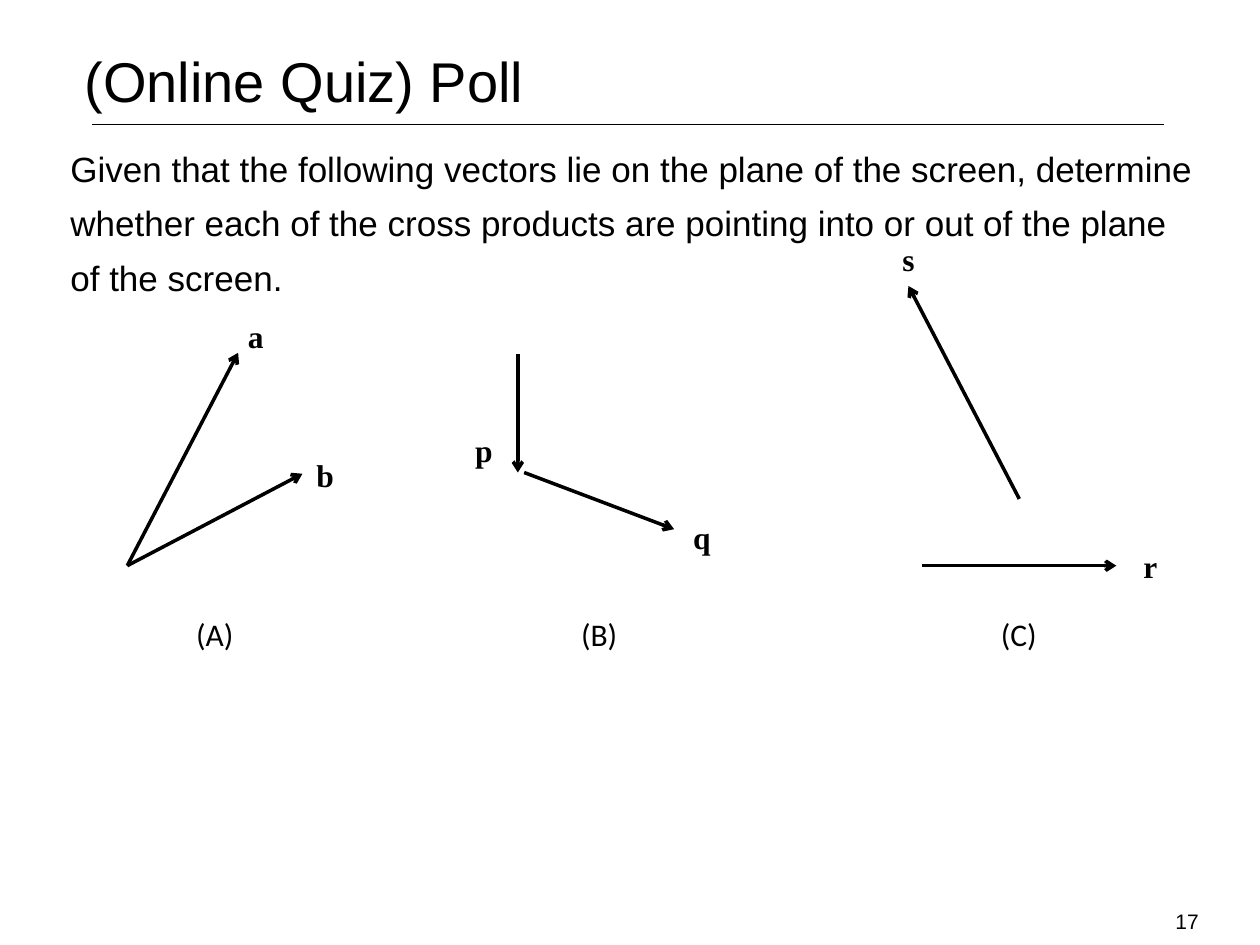
from lxml import etree
from pptx import Presentation
from pptx.dml.color import RGBColor
from pptx.enum.shapes import MSO_CONNECTOR
from pptx.enum.text import MSO_ANCHOR, PP_ALIGN
from pptx.oxml.ns import qn
from pptx.util import Inches, Pt

BLACK = RGBColor(0, 0, 0)

VECTORS = [  # start, end
    ((1.01, 4.49), (1.89, 2.8)),
    ((1.01, 4.49), (2.4, 3.76)),
    ((4.11, 2.81), (4.11, 3.75)),
    ((4.16, 3.75), (5.35, 4.2)),
    ((8.09, 3.96), (7.21, 2.27)),
    ((7.32, 4.49), (8.86, 4.49)),
]
VECTOR_NAMES = [  # name, left, top
    ("a", 1.7, 2.47),
    ("b", 2.25, 3.57),
    ("p", 3.51, 3.37),
    ("q", 5.24, 4.06),
    ("r", 8.8, 4.29),
    ("s", 6.88, 1.86),
]
CAPTIONS = [("(A)", 0.76), ("(B)", 3.81), ("(C)", 7.14)]
QUESTION = (
    "Given that the following vectors lie on the plane of the screen, determine "
    "whether each of the cross products are pointing into or out of the plane "
    "of the screen."
)


def write_text(shape, text, size, font_name="Arial", bold=False, align=PP_ALIGN.LEFT):
    text_frame = shape.text_frame
    text_frame.word_wrap = True
    text_frame.text = text
    paragraph = text_frame.paragraphs[0]
    paragraph.alignment = align
    font = paragraph.runs[0].font
    font.name = font_name
    font.size = Pt(size)
    font.bold = bold
    font.color.rgb = BLACK
    return paragraph


def add_text(slide, text, box, size, **style):
    shape = slide.shapes.add_textbox(*map(Inches, box))
    return write_text(shape, text, size, **style)


def add_title(slide, text):
    title = slide.shapes.title
    title.left, title.top, title.width, title.height = map(
        Inches, (0.57, 0.32, 8.66, 0.71))
    write_text(title, text, 32)
    title.text_frame.vertical_anchor = MSO_ANCHOR.TOP


def add_line(slide, start, end, width):
    line = slide.shapes.add_connector(
        MSO_CONNECTOR.STRAIGHT, *map(Inches, start + end))
    line.line.color.rgb = BLACK
    line.line.width = Pt(width)
    etree.SubElement(line._element.spPr, qn("a:effectLst"))
    return line


def add_vector(slide, start, end):
    vector = add_line(slide, start, end, 2)
    outline = vector.line._get_or_add_ln()
    etree.SubElement(outline, qn("a:tailEnd"), type="arrow")


def main():
    presentation = Presentation()
    presentation.slide_width = Inches(10)
    presentation.slide_height = Inches(7.5)
    slide = presentation.slides.add_slide(presentation.slide_layouts[5])

    add_line(slide, (0.73, 0.99), (9.24, 0.99), 0.25)
    add_title(slide, "(Online Quiz) Poll")
    question = add_text(slide, QUESTION, (0.46, 1.02, 9.21, 1.95), 20)
    question.line_spacing = 1.3

    for start, end in VECTORS:
        add_vector(slide, start, end)
    for name, left, top in VECTOR_NAMES:
        add_text(slide, name, (left, top, 0.66, 0.4), 18,
                 font_name="Times New Roman", bold=True, align=PP_ALIGN.CENTER)
    for caption, left in CAPTIONS:
        add_text(slide, caption, (left, 4.83, 1.89, 1.01), 18,
                 font_name="Calibri", align=PP_ALIGN.CENTER)
    add_text(slide, "17", (9.23, 7.16, 0.59, 0.4), 12)

    presentation.save("out.pptx")


if __name__ == "__main__":
    main()
